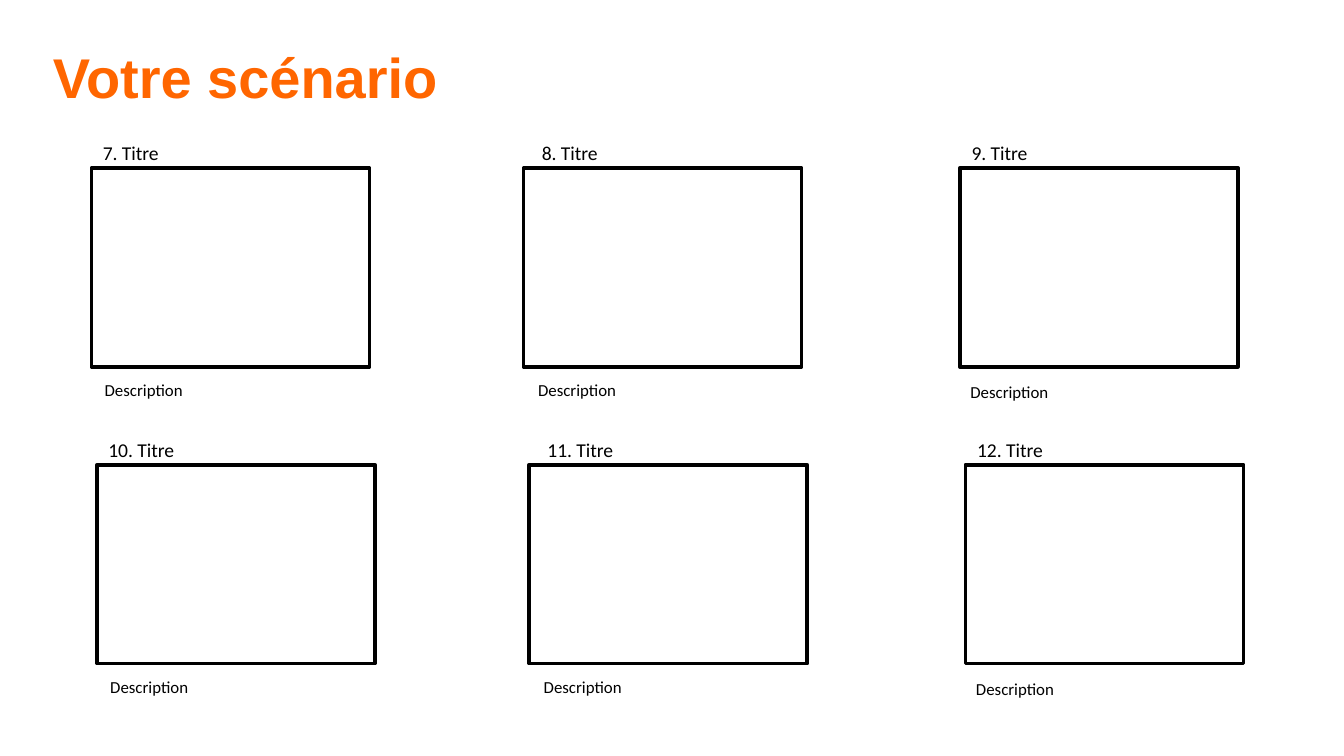
"""Builds the second storyboard page: a title above six numbered frames."""
from pptx import Presentation
from pptx import util as u
from pptx.dml.color import RGBColor
from pptx.enum import shapes, text

COLOURS = {"title": "FF6600", "ink": "000000", "paper": "FFFFFF"}


class Storyboard:
    """Holds the style and the current slide."""

    def __init__(self, deck):
        self.slide = deck.slides.add_slide(deck.slide_layouts[5])

    def colour(self, name):
        """Returns a named colour."""
        return RGBColor.from_string(COLOURS[name])

    def set_words(self, frame, words, font, size, colour, bold=False):
        """Sets and formats a single left-aligned paragraph."""
        frame.text = words
        frame.vertical_anchor = text.MSO_ANCHOR.TOP
        line = frame.paragraphs[0]
        line.alignment = text.PP_ALIGN.LEFT
        style = line.runs[0].font
        style.name, style.size, style.bold = font, u.Pt(size), bold
        style.color.rgb = self.colour(colour)
        return line

    def title(self, words, left, top, width, height):
        """Places and fills the title placeholder."""
        heading = self.slide.shapes.title
        heading.left, heading.top = u.Pt(left), u.Pt(top)
        heading.width, heading.height = u.Pt(width), u.Pt(height)
        frame = heading.text_frame
        frame.margin_left = u.Pt(0.9)
        frame.margin_top = frame.margin_right = frame.margin_bottom = 0
        frame.word_wrap = True
        frame.auto_size = text.MSO_AUTO_SIZE.NONE
        line = self.set_words(frame, words, "Arial", 30, "title", bold=True)
        line.line_spacing = 1.11
        line.space_before = u.Pt(0)

    def panel(self, left, top, width, height):
        """Draws an outlined empty frame."""
        box = self.slide.shapes.add_shape(
            shapes.MSO_SHAPE.RECTANGLE, u.Pt(left), u.Pt(top), u.Pt(width), u.Pt(height))
        box.shadow.inherit = False
        box.fill.solid()
        box.fill.fore_color.rgb = self.colour("paper")
        box.line.color.rgb = self.colour("ink")
        box.line.width = u.Pt(2)

    def label(self, words, left, top, width, height, size, wrap):
        """Adds a caption that grows with its text."""
        caption = self.slide.shapes.add_textbox(
            u.Pt(left), u.Pt(top), u.Pt(width), u.Pt(height))
        frame = caption.text_frame
        frame.word_wrap = wrap
        frame.auto_size = text.MSO_AUTO_SIZE.SHAPE_TO_FIT_TEXT
        self.set_words(frame, words, "Calibri", size, "ink")


def main():
    """Lays out the six scenes in two rows of three."""
    deck = Presentation()
    deck.slide_width, deck.slide_height = u.Pt(720), u.Pt(405)
    board = Storyboard(deck)
    board.title("Votre scénario", 27.4, 18.7, 537, 34)

    columns = [(49, 48, 49, 200), (280.5, 283.2, 281.2, 200), (514.2, 513.4, 512.8, 201)]
    row_step, row_shift = 159, 3
    heading_widths = (45.4, 50.4)
    for row, heading_width in enumerate(heading_widths):
        down, across = row * row_step, row * row_shift
        for column, (panel, heading, description, below) in enumerate(columns):
            number = 7 + row * len(columns) + column
            board.panel(panel + across, 90 + down, 149, 106.5)
            board.label(f"{number}. Titre", heading + across, 72 + down,
                        heading_width, 20, 10.5, False)
            board.label("Description", description + across, below + down,
                        149, 18, 9, True)
    deck.save("out.pptx")


if __name__ == "__main__":
    main()
